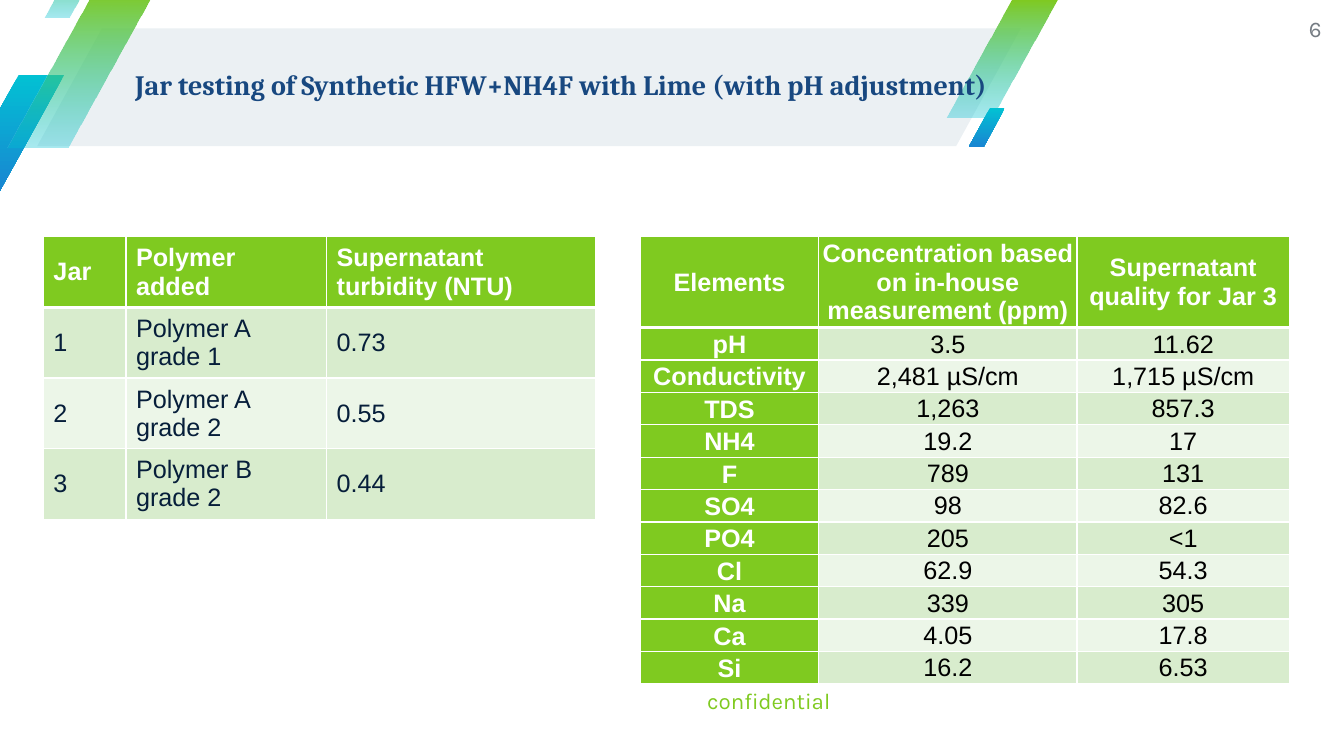
import lxml.etree
import pptx
import pptx.dml.color
import pptx.enum.shapes
import pptx.enum.text
import pptx.oxml
import pptx.oxml.ns
import pptx.util

Pt = pptx.util.Pt
RGBColor = pptx.dml.color.RGBColor
ALIGN = pptx.enum.text.PP_ALIGN
MIDDLE = pptx.enum.text.MSO_ANCHOR.MIDDLE

GREEN = RGBColor(0x7F, 0xCA, 0x20)
CYAN = RGBColor(0x02, 0xC1, 0xD3)
BLUE = RGBColor(0x19, 0x85, 0xD2)
PALE_GREY = RGBColor(0xEB, 0xF0, 0xF3)
TITLE_BLUE = RGBColor(0x18, 0x48, 0x80)
NAVY = RGBColor(0x06, 0x1E, 0x3A)
GREY = RGBColor(0x75, 0x7C, 0x83)
WHITE = RGBColor(0xFF, 0xFF, 0xFF)
BLACK = RGBColor(0, 0, 0)
BANDS = [RGBColor(0xD8, 0xEC, 0xCD), RGBColor(0xEC, 0xF6, 0xE8)]

JAR_ROWS = [
    ("Jar", "Polymer added", "Supernatant turbidity (NTU)"),
    ("1", "Polymer A grade 1", "0.73"),
    ("2", "Polymer A grade 2", "0.55"),
    ("3", "Polymer B grade 2", "0.44"),
]
ELEMENT_ROWS = [
    ("Elements", "Concentration based on in-house measurement (ppm)",
     "Supernatant quality for Jar 3"),
    ("pH", "3.5", "11.62"),
    ("Conductivity", "2,481 µS/cm", "1,715 µS/cm"),
    ("TDS", "1,263", "857.3"),
    ("NH4", "19.2", "17"),
    ("F", "789", "131"),
    ("SO4", "98", "82.6"),
    ("PO4", "205", "<1"),
    ("Cl", "62.9", "54.3"),
    ("Na", "339", "305"),
    ("Ca", "4.05", "17.8"),
    ("Si", "16.2", "6.53"),
]


def add_run(paragraph, text, size, font, color, bold=False):
    run = paragraph.add_run()
    run.text = text
    run.font.size = Pt(size)
    run.font.name = font
    run.font.color.rgb = color
    run.font.bold = bold


def set_margins(holder, left, top, right, bottom):
    holder.margin_left, holder.margin_top = Pt(left), Pt(top)
    holder.margin_right, holder.margin_bottom = Pt(right), Pt(bottom)


def add_band(slide, box, slant):
    band = slide.shapes.add_shape(
        pptx.enum.shapes.MSO_SHAPE.PARALLELOGRAM, *map(Pt, box))
    band.adjustments[0] = slant
    band.shadow.inherit = False
    band.line.fill.background()
    return band


def add_gradient_band(slide, box, top_color, bottom_color, bottom_alpha=None):
    band = add_band(slide, box, 0.59)
    band.fill.gradient()
    band.fill.gradient_angle = 270
    for stop, color in zip(band.fill.gradient_stops, (top_color, bottom_color)):
        stop.color.rgb = color
    if bottom_alpha:
        bottom = band.element.xpath(".//a:gs/a:srgbClr")[1]
        alpha = lxml.etree.SubElement(bottom, pptx.oxml.ns.qn("a:alpha"))
        alpha.set("val", str(bottom_alpha * 1000))


def add_header_bands(slide, left, top):
    """Draw the pale title strip at (left, top) with its slanted ribbons."""
    backdrop = add_band(slide, (left, top, 702.7, 84.2), 0.55)
    backdrop.fill.solid()
    backdrop.fill.fore_color.rgb = PALE_GREY
    ribbons = [
        (-59.8, 33.1, 79.2, 84.2, CYAN, BLUE, None),
        (649.4, -20.2, 79.2, 84.2, GREEN, CYAN, 34),
        (-20.9, -27.4, 105.1, 112.3, GREEN, CYAN, 34),
        (5, -54.8, 43.9, 46.8, GREEN, CYAN, 34),
        (665.3, 56.9, 25.9, 28.1, CYAN, BLUE, None),
    ]
    for dx, dy, width, height, *colors in ribbons:
        add_gradient_band(slide, (left + dx, top + dy, width, height), *colors)


def place_title(slide, box, text):
    title = slide.shapes.title
    title.left, title.top, title.width, title.height = map(Pt, box)
    slide.shapes.element.append(title.element)  # bring in front of the bands
    frame = title.text_frame
    frame.word_wrap = True
    frame.auto_size = pptx.enum.text.MSO_AUTO_SIZE.NONE
    frame.vertical_anchor = MIDDLE
    set_margins(frame, 0, 0, 0, 0)
    paragraph = frame.paragraphs[0]
    paragraph.alignment = ALIGN.LEFT
    paragraph.line_spacing = 0.9
    add_run(paragraph, text, 20, "Cambria", TITLE_BLUE, True)


def add_corner_text(slide, box, text, color):
    frame = slide.shapes.add_textbox(*map(Pt, box)).text_frame
    frame.word_wrap = True
    frame.vertical_anchor = MIDDLE
    set_margins(frame, 0, 0, 0, 0)
    paragraph = frame.paragraphs[0]
    paragraph.alignment = ALIGN.RIGHT
    add_run(paragraph, text, 16, "Karla", color)


def set_borders(cell, top, bottom):
    properties = cell._tc.get_or_add_tcPr()
    for index, (side, width) in enumerate(
            [("L", 1), ("R", 1), ("T", top), ("B", bottom)]):
        properties.insert(index, pptx.oxml.parse_xml(
            f'<a:ln{side} {pptx.oxml.ns.nsdecls("a")} w="{Pt(width)}">'
            f'<a:solidFill><a:srgbClr val="{WHITE}"/></a:solidFill></a:ln{side}>'))


def add_banded_table(slide, box, rows, column_widths, header_height,
                     body_color, alignment, row_labels=False):
    """Fill the box with a green-headed table; row_labels also greens column 1."""
    left, top, width, height = box
    table = slide.shapes.add_table(
        len(rows), len(column_widths), *map(Pt, box)).table
    table.horz_banding = False
    for column, column_width in zip(table.columns, column_widths):
        column.width = Pt(column_width)
    row_height = (height - header_height) / (len(rows) - 1)
    for r, values in enumerate(rows):
        table.rows[r].height = Pt(row_height if r else header_height)
        for c, value in enumerate(values):
            cell = table.cell(r, c)
            is_label = row_labels and c == 0
            is_heading = r == 0 or is_label
            cell.fill.solid()
            cell.fill.fore_color.rgb = GREEN if is_heading else BANDS[(r - 1) % 2]
            set_borders(cell, 3 if r == 1 else 1, 3 if r == 0 else 1)
            cell.vertical_anchor = MIDDLE
            if row_labels:
                set_margins(cell, *((2, 0, 2, 0) if is_heading else (0.7, 0.7, 0.7, 0)))
            paragraph = cell.text_frame.paragraphs[0]
            paragraph.alignment = alignment
            if is_label and r:
                paragraph.line_spacing = 1.07
                paragraph.space_after = Pt(8)
            add_run(paragraph, value, 18, "Arial",
                    WHITE if is_heading else body_color, is_heading)


def build_jar_testing_slide(deck):
    slide = deck.slides.add_slide(deck.slide_layouts[5])
    add_header_bands(slide, 26.6, 20.2)
    add_corner_text(slide, (336.2, 480.2, 257, 41), "confidential", GREEN)
    place_title(slide, (96.5, 18.7, 632.9, 85.7),
                "Jar testing of Synthetic HFW+NH4F with Lime (with pH adjustment)")
    add_corner_text(slide, (898.6, 0, 45.4, 41), "6", GREY)
    add_banded_table(slide, (457.4, 169.2, 463.7, 297.5), ELEMENT_ROWS,
                     (127.4, 184.5, 151.8), 60, BLACK, ALIGN.CENTER, True)
    add_banded_table(slide, (31, 169.2, 394.5, 190), JAR_ROWS,
                     (59, 143.3, 192.2), 47.5, NAVY, ALIGN.LEFT)


def main():
    deck = pptx.Presentation()
    deck.slide_width, deck.slide_height = Pt(960), Pt(540)
    build_jar_testing_slide(deck)
    deck.save("out.pptx")


if __name__ == "__main__":
    main()
